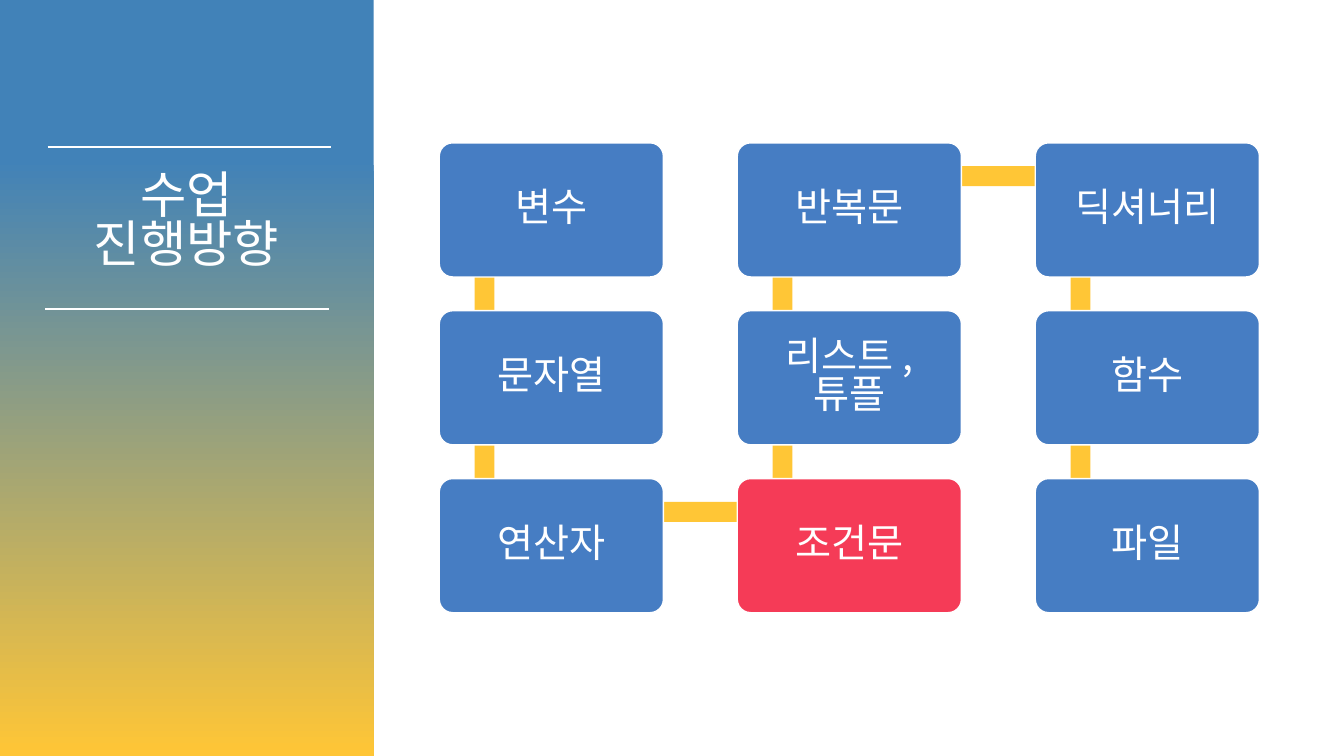
from dataclasses import dataclass
from itertools import pairwise

from lxml import etree
from pptx import Presentation
from pptx import util as u
from pptx.dml import color
from pptx.enum import shapes, text
from pptx.oxml import ns


@dataclass(frozen=True)
class Theme:
    font: str = "Noto Sans CJK KR"
    title_size: int = 36
    box_size: int = 28
    line_spacing: float = 0.81
    white: str = "FFFFFF"
    panel_blue: str = "4182B8"
    yellow: str = "FFC636"
    box_blue: str = "467DC3"
    current_red: str = "F53B57"


class SlideBuilder:
    """Draw themed elements on one slide, with lengths in centimetres."""

    def __init__(self, slide, theme):
        self.slide = slide
        self.theme = theme

    def format_text(self, frame, size):
        frame.word_wrap = True
        for paragraph in frame.paragraphs:
            paragraph.alignment = text.PP_ALIGN.CENTER
            paragraph.line_spacing = self.theme.line_spacing
            font = paragraph.font
            font.size = u.Pt(size)
            font.color.rgb = color.RGBColor.from_string(self.theme.white)
            font.name = self.theme.font
            etree.SubElement(font._rPr, ns.qn("a:ea"), typeface=self.theme.font)

    def block(self, kind, left, top, width, height, fill=None):
        shape = self.slide.shapes.add_shape(
            kind, u.Cm(left), u.Cm(top), u.Cm(width), u.Cm(height))
        shape.shadow.inherit = False
        shape.line.fill.background()
        if fill:
            shape.fill.solid()
            shape.fill.fore_color.rgb = color.RGBColor.from_string(fill)
        return shape

    def panel(self, width, height):
        panel = self.block(shapes.MSO_SHAPE.RECTANGLE, 0, 0, width, height)
        panel.fill.gradient()
        panel.fill.gradient_angle = 270
        stops = ((0.21, self.theme.panel_blue), (1, self.theme.yellow))
        for stop, (position, tone) in zip(panel.fill.gradient_stops, stops):
            stop.position = position
            stop.color.rgb = color.RGBColor.from_string(tone)

    def rule(self, left, top, width):
        line = self.slide.shapes.add_connector(
            shapes.MSO_CONNECTOR.STRAIGHT,
            u.Cm(left), u.Cm(top), u.Cm(left + width), u.Cm(top))
        line.line.color.rgb = color.RGBColor.from_string(self.theme.white)
        line.line.width = u.Pt(1.5)
        etree.SubElement(line.element.spPr, ns.qn("a:effectLst"))

    def title(self, words, left, top, width, height):
        title = self.slide.shapes.title
        title.left, title.top = u.Cm(left), u.Cm(top)
        title.width, title.height = u.Cm(width), u.Cm(height)
        frame = title.text_frame
        frame.text = words
        frame.vertical_anchor = text.MSO_ANCHOR.TOP
        frame.auto_size = text.MSO_AUTO_SIZE.NONE
        frame.margin_top = u.Cm(0.3)
        self.format_text(frame, self.theme.title_size)
        title.element.getparent().append(title.element)

    def bar(self, start, end, thickness):
        left, top = min(start[0], end[0]), min(start[1], end[1])
        width, height = abs(start[0] - end[0]), abs(start[1] - end[1])
        if width > height:
            top, height = top - thickness / 2, thickness
        else:
            left, width = left - thickness / 2, thickness
        self.block(shapes.MSO_SHAPE.RECTANGLE, left, top, width, height,
                   self.theme.yellow)

    def box(self, words, left, top, width, height, fill):
        box = self.block(shapes.MSO_SHAPE.ROUNDED_RECTANGLE,
                         left, top, width, height, fill)
        box.adjustments[0] = 0.1
        box.line.color.rgb = color.RGBColor.from_string(self.theme.white)
        box.line.width = u.Pt(1)
        frame = box.text_frame
        frame.text = words
        frame.vertical_anchor = text.MSO_ANCHOR.MIDDLE
        self.format_text(frame, self.theme.box_size)

    def lesson_path(self, columns, current):
        left, top, width, height = 11.07, 3.6, 5.65, 3.38
        column_step, row_step = 7.51, 4.23
        places = {}
        for column, lessons in enumerate(columns):
            rows = range(len(lessons))
            for lesson, row in zip(lessons, reversed(rows) if column == 1 else rows):
                places[lesson] = (left + column * column_step, top + row * row_step)
        anchors = [(x + 1.14, y + 0.84) for x, y in places.values()]
        for start, end in pairwise(anchors):
            self.bar(start, end, 0.5)
        for lesson, (x, y) in places.items():
            fill = self.theme.current_red if lesson == current else self.theme.box_blue
            self.box(lesson, x, y, width, height, fill)


def main():
    presentation = Presentation()
    presentation.slide_width, presentation.slide_height = u.Cm(33.87), u.Cm(19.05)
    slide = presentation.slides.add_slide(
        presentation.slide_layouts.get_by_name("Title Only"))
    builder = SlideBuilder(slide, Theme())
    builder.panel(9.42, 19.05)
    builder.rule(1.2, 3.71, 7.14)
    builder.rule(1.14, 7.78, 7.14)
    builder.title("수업\n진행방향", 0, 4.09, 9.4, 3.33)
    builder.lesson_path(
        (("변수", "문자열", "연산자"),
         ("조건문", "리스트 ,\v튜플", "반복문"),
         ("딕셔너리", "함수", "파일")),
        current="조건문")
    presentation.save("out.pptx")


if __name__ == "__main__":
    main()
